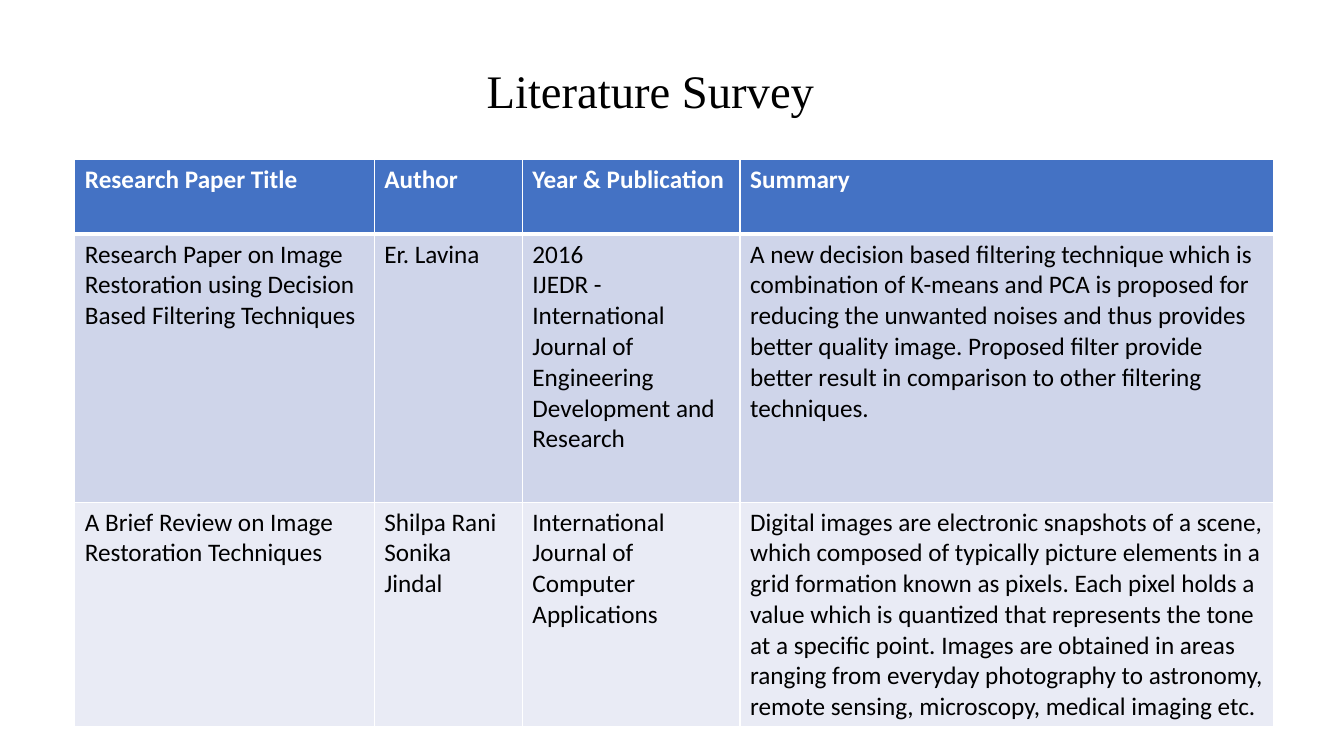
import pptx
import pptx.util
import pptx.dml.color
import pptx.enum.text
import pptx.oxml
import pptx.oxml.ns

Pt = pptx.util.Pt
COLORS = {"text": "000000", "white": "FFFFFF", "header": "4472C4",
          "odd": "CFD5EA", "even": "E9EBF5"}
COLUMNS = [213.84, 105.84, 155.52, 380.88]
ROWS = [53.28, 191.4, 160]
SURVEY = [
    ["Research Paper Title", "Author", "Year & Publication", "Summary"],
    ["Research Paper on Image Restoration using Decision Based Filtering Techniques",
     "Er. Lavina",
     "2016\nIJEDR - International Journal of Engineering Development and Research",
     "A new decision based filtering technique which is combination of K-means and PCA "
     "is proposed for reducing the unwanted noises and thus provides better quality image. "
     "Proposed filter provide better result in comparison to other filtering techniques."],
    ["A Brief Review on Image Restoration Techniques",
     "Shilpa Rani\nSonika Jindal",
     "International Journal of Computer Applications",
     "Digital images are electronic snapshots of a scene, which composed of typically "
     "picture elements in a grid formation known as pixels. Each pixel holds a value which "
     "is quantized that represents the tone at a specific point. Images are obtained in areas "
     "ranging from everyday photography to astronomy, remote sensing, microscopy, "
     "medical imaging etc."],
]


def rgb(name):
    """Return the palette colour as an RGBColor."""
    return pptx.dml.color.RGBColor.from_string(COLORS[name])


def write(tf, text, font="Calibri", size=18, color="text", bold=False, spacing=None):
    """Write text into a frame, one paragraph per line."""
    for i, line in enumerate(text.split("\n")):
        p = tf.add_paragraph() if i else tf.paragraphs[0]
        p.line_spacing = spacing
        r = p.add_run()
        r.text = line
        r.font.name = font
        r.font.size = Pt(size)
        r.font.bold = bold
        r.font.color.rgb = rgb(color)


class Deck:
    """Hold the style and the current slide."""

    def __init__(self, prs):
        """Add a blank slide to the presentation."""
        self.s = prs.slides.add_slide(prs.slide_layouts[6])

    def title(self, text, left, top, width, height):
        """Add the slide title."""
        sp = self.s.shapes.add_textbox(Pt(left), Pt(top), Pt(width), Pt(height))
        tf = sp.text_frame
        tf.word_wrap = True
        tf.vertical_anchor = pptx.enum.text.MSO_ANCHOR.MIDDLE
        write(tf, text, font="Times New Roman", size=33.3, spacing=0.9)

    def border(self, cell, side, width):
        """Add a white line on one side of a cell."""
        cell._tc.get_or_add_tcPr().append(pptx.oxml.parse_xml(
            f'<a:ln{side} {pptx.oxml.ns.nsdecls("a")} w="{Pt(width)}"><a:solidFill>'
            f'<a:srgbClr val="{COLORS["white"]}"/></a:solidFill></a:ln{side}>'))

    def table(self, data, left, top, columns, rows):
        """Add a table with a header row and banded body rows."""
        table = self.s.shapes.add_table(
            len(rows), len(columns), Pt(left), Pt(top),
            Pt(sum(columns)), Pt(sum(rows))).table
        for column, width in zip(table.columns, columns):
            column.width = Pt(width)
        for i, (row, height) in enumerate(zip(table.rows, rows)):
            row.height = Pt(height)
            head = i == 0
            fill = "header" if head else "odd" if i % 2 else "even"
            widths = {"L": 1, "R": 1, "T": 3 if i == 1 else 1, "B": 3 if head else 1}
            for cell, text in zip(row.cells, data[i]):
                for side, width in widths.items():
                    self.border(cell, side, width)
                cell.fill.solid()
                cell.fill.fore_color.rgb = rgb(fill)
                write(cell.text_frame, text, color="white" if head else "text", bold=head)


def main():
    """Build and save the literature survey slide."""
    prs = pptx.Presentation()
    prs.slide_width, prs.slide_height = Pt(960), Pt(540)
    deck = Deck(prs)
    deck.title("Literature Survey", 340.56, 41.04, 252.72, 51.12)
    deck.table(SURVEY, 53.5, 114, COLUMNS, ROWS)
    prs.save("out.pptx")


if __name__ == "__main__":
    main()
